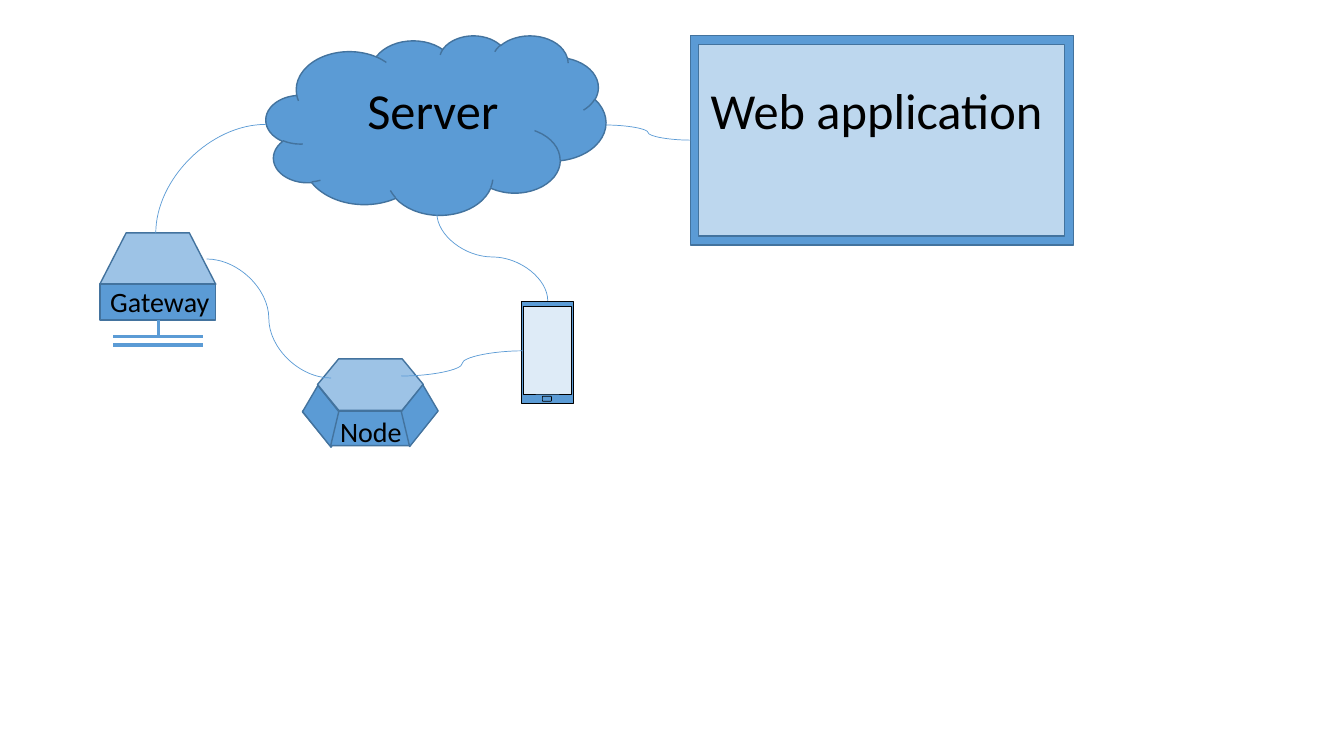
from lxml.etree import SubElement
from pptx import Presentation
from pptx.dml.color import RGBColor
from pptx.enum.shapes import MSO_CONNECTOR, MSO_SHAPE
from pptx.enum.text import MSO_AUTO_SIZE, PP_ALIGN
from pptx.oxml.ns import qn
from pptx.util import Pt

COLORS = {
    "blue": "5B9BD5",
    "edge": "43739E",
    "lid": "9DC3E6",
    "window": "BDD7EE",
    "display": "DEEBF7",
    "black": "000000",
}
LABEL_FONT = {"name": "Calibri", "bold": False, "italic": False}
LABEL_FRAME = {"word_wrap": False, "auto_size": MSO_AUTO_SIZE.SHAPE_TO_FIT_TEXT}


def rgb(name):
    return RGBColor.from_string(COLORS[name])


def connect(shapes, curve, start, end, width):
    line = shapes.add_connector(curve, *map(Pt, start + end))
    line.line.color.rgb = rgb("blue")
    line.line.width = Pt(width)
    SubElement(line._element.spPr, qn("a:effectLst"))
    return line


prs = Presentation()
prs.slide_width, prs.slide_height = Pt(960), Pt(540)
slide = prs.slides.add_slide(prs.slide_layouts[6])

# Devices: edge colour, edge width, then parts as
# (shape, box, fill, adjustment, rotation, mirrored)
devices = {
    "server": ("edge", 1, [
        (MSO_SHAPE.CLOUD, (190, 25.2, 242.8, 128.2), "blue", None, 0, False),
    ]),
    "node": ("edge", 1, [
        (MSO_SHAPE.FLOWCHART_PREPARATION, (216, 270.7, 95.8, 46.8), "blue", None, 0, False),
        (MSO_SHAPE.FLOWCHART_PREPARATION, (226.8, 256.3, 75.6, 36.7), "lid", None, 0, False),
        (MSO_SHAPE.PARALLELOGRAM, (277.2, 286.8, 40.3, 20.2), "blue", 0.383, 308.6, False),
        (MSO_SHAPE.PARALLELOGRAM, (211.7, 287.3, 40.3, 20.2), "blue", 0.383, 51.4, True),
        (MSO_SHAPE.TRAPEZOID, (236.2, 293.8, 56.2, 24.5), "blue", 0.238, 0, False),
    ]),
    "web application": ("edge", 1, [
        (MSO_SHAPE.RECTANGLE, (493.2, 25.2, 273.6, 149.8), "blue", None, 0, False),
        (MSO_SHAPE.RECTANGLE, (499, 31.7, 261.4, 136.8), "window", None, 0, False),
    ]),
    "phone": ("black", 0.5, [
        (MSO_SHAPE.RECTANGLE, (372.2, 215.3, 37.4, 72.7), "blue", None, 0, False),
        (MSO_SHAPE.RECTANGLE, (373.7, 218.9, 34.6, 62.6), "display", None, 0, False),
        (MSO_SHAPE.ROUNDED_RECTANGLE, (387.4, 283, 6.5, 3.6), "blue", None, 0, False),
    ]),
    "gateway": ("edge", 1, [
        (MSO_SHAPE.TRAPEZOID, (71.3, 166.3, 82.8, 36.7), "lid", 0.513, 0, False),
        (MSO_SHAPE.RECTANGLE, (71.3, 203, 82.8, 25.6), "blue", None, 0, False),
    ]),
}
groups = {}
for device, (edge, edge_width, parts) in devices.items():
    # A device of several parts is grouped
    if len(parts) > 1:
        groups[device] = slide.shapes.add_group_shape()
    target = groups[device].shapes if device in groups else slide.shapes
    for kind, box, fill, adjustment, rotation, mirrored in parts:
        part = target.add_shape(kind, *map(Pt, box))
        part.shadow.inherit = False
        part.fill.solid()
        part.fill.fore_color.rgb = rgb(fill)
        part.line.color.rgb = rgb(edge)
        part.line.width = Pt(edge_width)
        part.rotation = rotation
        if adjustment is not None:
            part.adjustments[0] = adjustment
        if mirrored:
            part._element.spPr.find(qn("a:xfrm")).set("flipH", "1")

# Gateway stand
for start, end in [
    ((113, 228.8), (113, 240.5)),
    ((144.7, 240.5), (80.6, 240.5)),
    ((144.7, 246.4), (80.6, 246.4)),
]:
    connect(groups["gateway"].shapes, MSO_CONNECTOR.STRAIGHT, start, end, 2.25)

# Curved links: ends before rotation, rotation in degrees, preset
links = [
    ((147.6, 185), (236.5, 270), 0, "curvedConnector3"),  # gateway to node
    ((189.4, 167), (111.6, 88.6), 90, "curvedConnector2"),  # gateway to server
    ((383, 144), (320.4, 223.2), 270, "curvedConnector3"),  # server to phone
    ((432.7, 89.3), (493.2, 100.1), 0, "curvedConnector3"),  # server to web application
    ((286.6, 268.6), (373.7, 250.6), 0, "curvedConnector3"),  # node to phone
]
for start, end, rotation, preset in links:
    link = connect(slide.shapes, MSO_CONNECTOR.CURVE, start, end, 0.5)
    outline = link._element.spPr
    outline.find(qn("a:prstGeom")).set("prst", preset)
    outline.find(qn("a:xfrm")).set("rot", str(rotation * 60000))

# Labels
labels = [
    ("Server", (254.9, 53.3, 108.7, 51.1), 36),
    ("Web application", (499, 53.3, 254.2, 51.1), 36),
    ("Node", (235.4, 292.3, 59, 31.7), 20),
    ("Gateway", (71.3, 199.4, 85.7, 31.7), 20),
]
for wording, box, size in labels:
    frame = slide.shapes.add_textbox(*map(Pt, box)).text_frame
    for attribute, value in LABEL_FRAME.items():
        setattr(frame, attribute, value)
    paragraph = frame.paragraphs[0]
    paragraph.alignment = PP_ALIGN.CENTER
    run = paragraph.add_run()
    run.text = wording
    for attribute, value in {**LABEL_FONT, "size": Pt(size)}.items():
        setattr(run.font, attribute, value)
    run.font.color.rgb = rgb("black")

prs.save("out.pptx")
